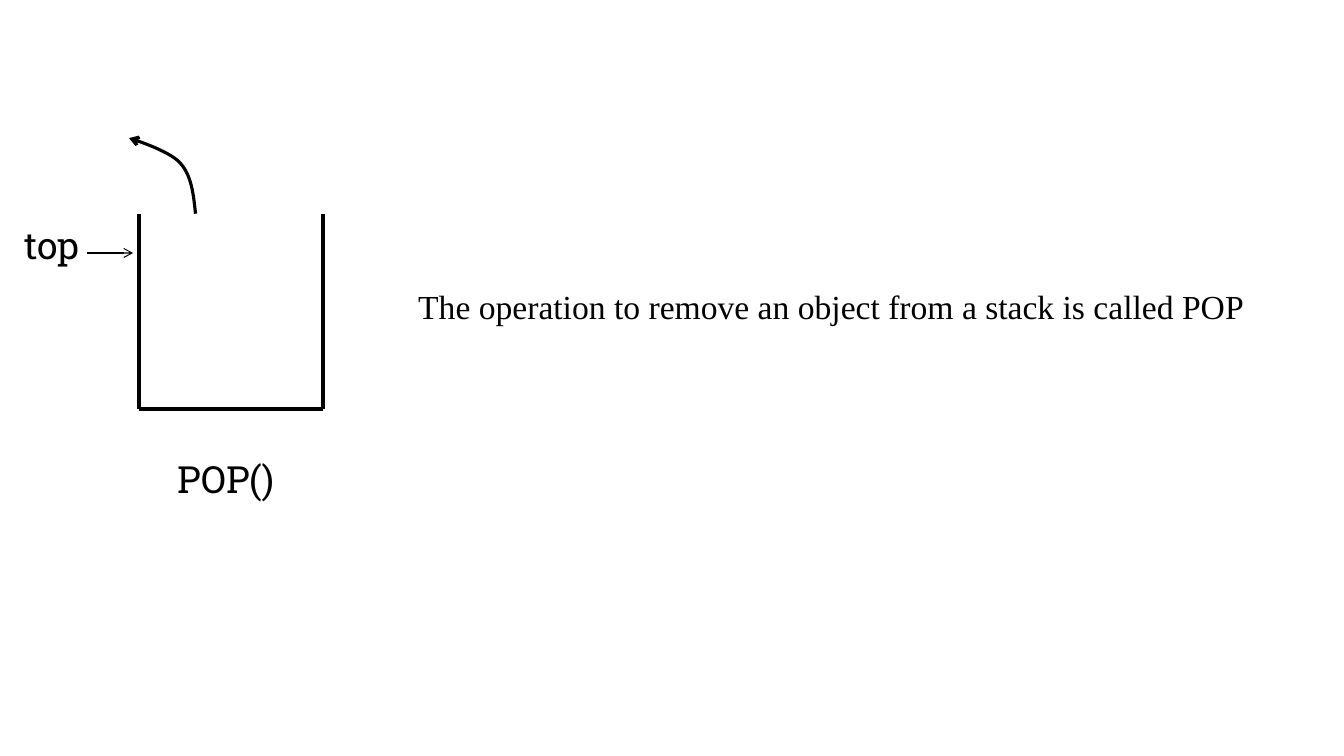
from dataclasses import dataclass

from lxml.etree import SubElement
from pptx import Presentation
from pptx.dml.color import RGBColor
from pptx.enum.shapes import MSO_CONNECTOR
from pptx.oxml.ns import qn
from pptx.util import Inches, Pt


@dataclass(frozen=True)
class Theme:
    """Colours, fonts, type sizes and line weights of the slide."""

    ink: RGBColor = RGBColor(0, 0, 0)
    label_font: str = "Roboto Slab"
    label_size: float = 26.7
    sentence_font: str = "Times New Roman"
    sentence_size: float = 24
    wall_weight: float = 3
    curve_weight: float = 2.25
    pointer_weight: float = 0.75


class StackSlide:
    """Draws the parts of a stack diagram on one slide."""

    def __init__(self, slide, theme):
        """Keep the slide and its theme."""
        self.slide = slide
        self.theme = theme

    def ink_line(self, line, weight, arrow):
        """Set colour and weight, with an arrowhead at the end if asked."""
        line.color.rgb = self.theme.ink
        line.width = Pt(weight)
        if arrow:
            SubElement(line._get_or_add_ln(), qn("a:tailEnd"), type="arrow")

    def straight(self, start, end, weight, arrow=False):
        """Add a straight line between two points."""
        connector = self.slide.shapes.add_connector(
            MSO_CONNECTOR.STRAIGHT, *map(Inches, start + end)
        )
        self.ink_line(connector.line, weight, arrow)
        SubElement(connector._element.spPr, qn("a:effectLst"))

    def curve(self, start, beziers, weight, steps=16):
        """Add an open arrow that follows a chain of cubic curves."""
        points = []
        origin = start
        for first, second, end in beziers:
            for step in range(1, steps + 1):
                t = step / steps
                u = 1 - t
                points.append(tuple(
                    Inches(u**3 * a + 3 * u * u * t * b + 3 * u * t * t * c + t**3 * d)
                    for a, b, c, d in zip(origin, first, second, end)
                ))
            origin = end
        builder = self.slide.shapes.build_freeform(*map(Inches, start), scale=1.0)
        builder.add_line_segments(points, close=False)
        arc = builder.convert_to_shape()
        arc.fill.background()
        arc.shadow.inherit = False
        self.ink_line(arc.line, weight, arrow=True)

    def text(self, wording, box, font, size, insets=(0.1, 0.05), wrap=True):
        """Add a one-paragraph text box."""
        frame = self.slide.shapes.add_textbox(*map(Inches, box)).text_frame
        frame.word_wrap = wrap
        frame.margin_left = frame.margin_right = Inches(insets[0])
        frame.margin_top = frame.margin_bottom = Inches(insets[1])
        paragraph = frame.paragraphs[0]
        paragraph.text = wording
        paragraph.font.name = font
        paragraph.font.size = Pt(size)
        paragraph.font.color.rgb = self.theme.ink

    def label(self, wording, box):
        """Add a diagram label."""
        self.text(wording, box, self.theme.label_font, self.theme.label_size, (0.13, 0.07))


def main():
    """Build and save the POP slide."""
    deck = Presentation()
    deck.slide_width = Inches(13.33)
    deck.slide_height = Inches(7.5)
    theme = Theme()
    pop = StackSlide(deck.slides.add_slide(deck.slide_layouts[6]), theme)

    left, right, rim, base = 1.38, 3.2, 2.12, 4.06
    for wall in (left, right):
        pop.straight((wall, rim), (wall, base), theme.wall_weight)
    pop.straight((right, base), (left, base), theme.wall_weight)

    pop.curve(
        (1.94, rim),
        [
            ((1.92, 1.93), (1.9, 1.74), (1.79, 1.62)),
            ((1.68, 1.49), (1.28, 1.37), (1.28, 1.37)),
        ],
        theme.curve_weight,
    )
    pop.straight((0.86, 2.51), (1.32, 2.51), theme.pointer_weight, arrow=True)

    pop.label("top", (0.11, 2.13, 0.94, 0.65))
    pop.label("POP()", (1.63, 4.46, 1.38, 0.65))
    pop.text(
        "The operation to remove an object from a stack is called POP",
        (4.05, 2.79, 8.46, 0.5),
        theme.sentence_font,
        theme.sentence_size,
        wrap=False,
    )
    deck.save("out.pptx")


if __name__ == "__main__":
    main()
